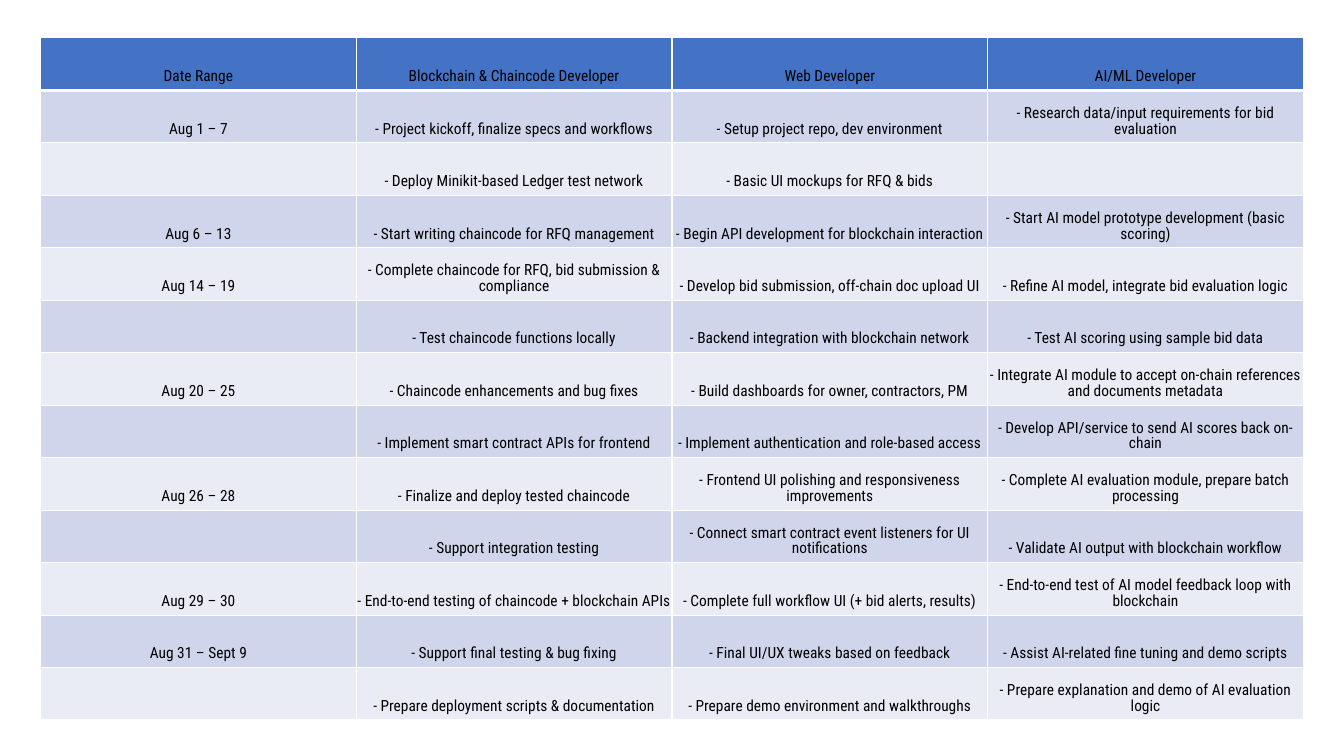
import pptx
import pptx.dml.color
import pptx.enum.text
import pptx.oxml.ns
import pptx.util
from lxml import etree

Pt = pptx.util.Pt

SCHEDULE = [
    ("Date Range", "Blockchain & Chaincode Developer", "Web Developer", "AI/ML Developer"),
    ("Aug 1 – 7", "- Project kickoff, finalize specs and workflows",
     "- Setup project repo, dev environment",
     "- Research data/input requirements for bid evaluation"),
    ("", "- Deploy Minikit-based Ledger test network", "- Basic UI mockups for RFQ & bids", ""),
    ("Aug 6 – 13", "- Start writing chaincode for RFQ management",
     "- Begin API development for blockchain interaction",
     "- Start AI model prototype development (basic scoring)"),
    ("Aug 14 – 19", "- Complete chaincode for RFQ, bid submission & compliance",
     "- Develop bid submission, off-chain doc upload UI",
     "- Refine AI model, integrate bid evaluation logic"),
    ("", "- Test chaincode functions locally",
     "- Backend integration with blockchain network",
     "- Test AI scoring using sample bid data"),
    ("Aug 20 – 25", "- Chaincode enhancements and bug fixes",
     "- Build dashboards for owner, contractors, PM",
     "- Integrate AI module to accept on-chain references and documents metadata"),
    ("", "- Implement smart contract APIs for frontend",
     "- Implement authentication and role-based access",
     "- Develop API/service to send AI scores back on-chain"),
    ("Aug 26 – 28", "- Finalize and deploy tested chaincode",
     "- Frontend UI polishing and responsiveness improvements",
     "- Complete AI evaluation module, prepare batch processing"),
    ("", "- Support integration testing",
     "- Connect smart contract event listeners for UI notifications",
     "- Validate AI output with blockchain workflow"),
    ("Aug 29 – 30", "- End-to-end testing of chaincode + blockchain APIs",
     "- Complete full workflow UI (+ bid alerts, results)",
     "- End-to-end test of AI model feedback loop with blockchain"),
    ("Aug 31 – Sept 9", "- Support final testing & bug fixing",
     "- Final UI/UX tweaks based on feedback",
     "- Assist AI-related fine tuning and demo scripts"),
    ("", "- Prepare deployment scripts & documentation",
     "- Prepare demo environment and walkthroughs",
     "- Prepare explanation and demo of AI evaluation logic"),
]

HEADER_FILL, BAND_FILLS = "4472C4", ("E9EBF5", "CFD5EA")
BORDER, THIN, THICK = "FFFFFF", 0.87, 2.63
CELL_FORMAT = {
    "vertical_anchor": pptx.enum.text.MSO_ANCHOR.BOTTOM,
    "margin_left": Pt(0.6), "margin_top": Pt(0.6),
    "margin_right": Pt(0.6), "margin_bottom": Pt(3.6),
}
PARA_FORMAT = {"alignment": pptx.enum.text.PP_ALIGN.CENTER, "line_spacing": Pt(11.2)}
FONT_FORMAT = {"name": "Roboto Condensed", "size": Pt(11), "bold": False}


def rgb(value):
    """Return the colour for a hex string."""
    return pptx.dml.color.RGBColor.from_string(value)


def set_format(target, values):
    """Set each named attribute on the target."""
    for name, value in values.items():
        setattr(target, name, value)


def add_borders(cell, widths):
    """Draw the cell's sides with the given widths in points."""
    properties = cell._tc.get_or_add_tcPr()
    for side, width in widths.items():
        line = etree.SubElement(properties, pptx.oxml.ns.qn(f"a:ln{side}"), w=str(int(Pt(width))))
        fill = etree.SubElement(line, pptx.oxml.ns.qn("a:solidFill"))
        etree.SubElement(fill, pptx.oxml.ns.qn("a:srgbClr"), val=BORDER)


def fill_cell(cell, text, row):
    """Write and format one cell according to its row."""
    set_format(cell, CELL_FORMAT)
    add_borders(cell, {"L": THIN, "R": THIN, "T": THICK if row == 1 else THIN,
                       "B": THICK if row == 0 else THIN})
    cell.fill.solid()
    cell.fill.fore_color.rgb = rgb(BAND_FILLS[row % 2] if row else HEADER_FILL)
    para = cell.text_frame.paragraphs[0]
    set_format(para, PARA_FORMAT)
    set_format(para.font, FONT_FORMAT)
    if text:
        span = para.add_run()
        span.text = text
        set_format(span.font, FONT_FORMAT)
        span.font.color.rgb = rgb("000000")


def add_schedule(page, left, top, width, height):
    """Place the schedule table in the given box, in points."""
    rows, columns = len(SCHEDULE), len(SCHEDULE[0])
    table = page.shapes.add_table(rows, columns, Pt(left), Pt(top), Pt(width), Pt(height)).table
    for column in table.columns:
        column.width = Pt(width / columns)
    for row, texts in enumerate(SCHEDULE):
        table.rows[row].height = Pt(height / rows)
        for column, text in enumerate(texts):
            fill_cell(table.cell(row, column), text, row)


def main():
    """Build and save the deck."""
    deck = pptx.Presentation()
    set_format(deck, {"slide_width": Pt(960), "slide_height": Pt(540)})
    page = deck.slides.add_slide(deck.slide_layouts[6])
    add_schedule(page, 29, 27.1, 902, 487.5)
    deck.save("out.pptx")


if __name__ == "__main__":
    main()
